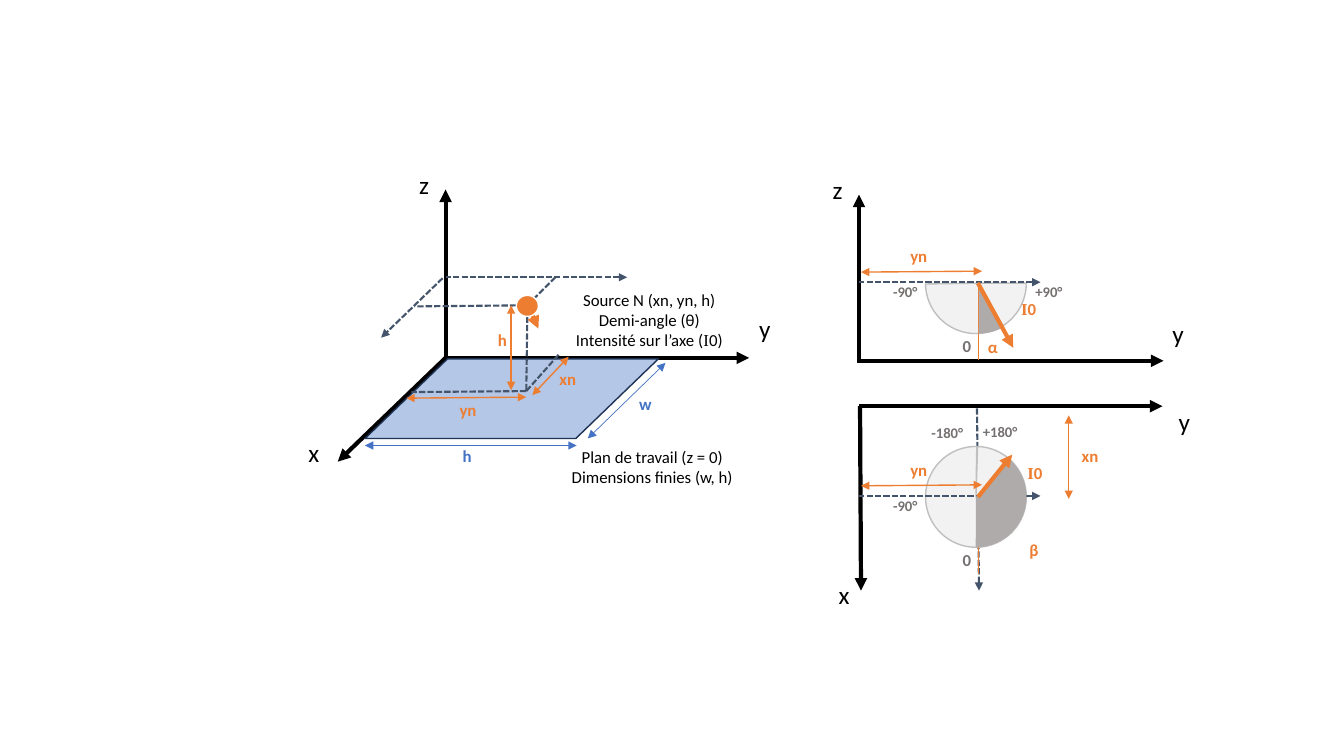
from dataclasses import dataclass

from pptx import Presentation
from pptx.dml.color import RGBColor
from pptx.enum.dml import MSO_LINE
from pptx.enum.shapes import MSO_CONNECTOR, MSO_SHAPE
from pptx.enum.text import MSO_AUTO_SIZE, PP_ALIGN
from pptx.oxml.ns import qn
from pptx.util import Inches, Pt
from lxml.etree import SubElement


@dataclass(frozen=True)
class Theme:
    black: str = "000000"
    white: str = "FFFFFF"
    slate: str = "44546A"
    orange: str = "ED7D31"
    blue: str = "4472C4"
    plane: str = "B4C7E7"
    navy: str = "1E3256"
    pale: str = "F2F2F2"
    rim: str = "BFBFBF"
    dark: str = "AFABAB"
    gray: str = "767171"
    font: str = "Calibri"
    serif: str = "Times New Roman"
    big: float = 18
    mid: float = 12
    small: float = 10.5


T = Theme()


# Basic elements
def line(slide, start, end, color, width, head=False, tail=False, dash=False):
    link = slide.shapes.add_connector(
        MSO_CONNECTOR.STRAIGHT, *map(Inches, (*start, *end)))
    link.line.color.rgb = RGBColor.from_string(color)
    link.line.width = Pt(width)
    if dash:
        link.line.dash_style = MSO_LINE.SQUARE_DOT
    props = link._element.spPr
    stroke = props.find(qn("a:ln"))
    for tag, shown in (("a:headEnd", head), ("a:tailEnd", tail)):
        if shown:
            SubElement(stroke, qn(tag)).set("type", "triangle")
    SubElement(props, qn("a:effectLst"))


def shape(slide, kind, box, fill, edge=None, adjust=()):
    item = slide.shapes.add_shape(kind, *map(Inches, box))
    item.shadow.inherit = False
    for i, value in enumerate(adjust):
        item.adjustments[i] = value
    item.fill.solid()
    item.fill.fore_color.rgb = RGBColor.from_string(fill)
    if edge:
        item.line.color.rgb = RGBColor.from_string(edge)
        item.line.width = Pt(1)
    else:
        item.line.fill.background()


def text(slide, words, box, color=T.black, size=T.mid, bold=False,
         wrap=False, align=None):
    frame = slide.shapes.add_textbox(*map(Inches, box)).text_frame
    frame.word_wrap = wrap
    frame.auto_size = MSO_AUTO_SIZE.SHAPE_TO_FIT_TEXT
    frame.text = words
    for para in frame.paragraphs:
        para.alignment = align
        # The I of the symbol I0 is set in a serif face
        front, mark, rest = para.text.partition("I0")
        if mark:
            para.text = front
            for part in ("I", "0" + rest):
                para.add_run().text = part
        for run in para.runs:
            run.font.name = T.serif if run.text == "I" else T.font
            run.font.size = Pt(size)
            run.font.bold = bold
            run.font.color.rgb = RGBColor.from_string(color)


# Elements of the diagram
def axis(slide, start, end):
    line(slide, start, end, T.black, 3, tail=True)


def guide(slide, start, end, head=False, tail=False):
    line(slide, start, end, T.slate, 1.5, head, tail, dash=True)


def span(slide, start, end, color=T.orange, width=1):
    line(slide, start, end, color, width, head=True, tail=True)


def beam(slide, start, end):
    line(slide, start, end, T.orange, 3, tail=True)


def pie(slide, left, top, start, end, fill, edge=None):
    # Angles in degrees, clockwise from the right
    shape(slide, MSO_SHAPE.PIE, (left, top, 1, 1), fill, edge,
          (start * 0.6, end * 0.6))


def name(slide, words, left, top, width=0.32):
    text(slide, words, (left, top, width, 0.4), size=T.big)


def mark(slide, words, left, top, width=0.37, color=T.orange, wrap=False):
    text(slide, words, (left, top, width, 0.3), color, bold=True, wrap=wrap)


def angle(slide, words, left, top, width=0.49):
    text(slide, words, (left, top, width, 0.28), T.gray, T.small,
         bold=True, wrap=True)


def note(slide, words, top, height):
    text(slide, words, (5.35 if height > 0.6 else 5.38, top, 2.18, height),
         wrap=True, align=PP_ALIGN.CENTER)


def space(slide):
    # Axes and work plane
    for end in ((7.43, 3.55), (4.42, 1.88), (3.35, 4.58)):
        axis(slide, (4.42, 3.55), end)
    shape(slide, MSO_SHAPE.PARALLELOGRAM, (3.62, 3.56, 2.91, 0.79),
          T.plane, T.navy, (1.036,))
    name(slide, "x", 2.96, 4.29, 0.31)
    name(slide, "y", 7.43, 3.06)
    name(slide, "z", 4.06, 1.63, 0.3)
    # Dashed guides at source height, then on the plane
    guide(slide, (5.51, 2.75), (5.3, 2.96))
    guide(slide, (5.12, 3.03), (4.11, 3.04))
    guide(slide, (6.22, 2.75), (4.42, 2.75), head=True)
    guide(slide, (4.39, 2.76), (3.78, 3.35), tail=True)
    for start, end in (((5.22, 3.88), (4.08, 3.89)),
                       ((5.54, 3.52), (5.22, 3.88)),
                       ((5.23, 3.14), (5.22, 3.88))):
        guide(slide, start, end)
    # Light source
    beam(slide, (5.22, 2.99), (5.34, 3.26))
    shape(slide, MSO_SHAPE.OVAL, (5.12, 2.93, 0.22, 0.21), T.orange, T.white)
    note(slide, "Source N (xn, yn, h)\nDemi-angle (θ)\n"
                "Intensité sur l’axe (I0)", 2.82, 0.71)
    note(slide, "Plan de travail (z = 0)\nDimensions finies (w, h)",
         4.38, 0.5)
    # Dimensions
    span(slide, (3.62, 4.42), (5.72, 4.42), T.blue, 0.5)
    span(slide, (5.83, 4.35), (6.6, 3.6), T.blue, 0.5)
    span(slide, (5.07, 3.87), (5.07, 3.03))
    span(slide, (5.22, 3.94), (4.03, 3.95))
    span(slide, (5.64, 3.54), (5.28, 3.92))
    mark(slide, "h", 4.84, 3.22, 0.29)
    mark(slide, "yn", 4.46, 3.92)
    mark(slide, "xn", 5.45, 3.61)
    mark(slide, "h", 4.49, 4.37, 0.29, T.blue)
    mark(slide, "w", 6.24, 3.86, 0.33, T.blue)


def view(slide, level, sector, tip):
    # Parts shared by both flat views, placed from the source level
    guide(slide, (10.32, level), (8.52, level), head=True)
    span(slide, (9.74, level - 0.11), (8.54, level - 0.1))
    line(slide, (9.7, level), (9.7, level + 0.77), T.orange, 0.5)
    pie(slide, *sector, 90.25, T.dark)
    beam(slide, (9.7, level + 0.01), tip)
    mark(slide, "yn", 8.93, level - 0.41)
    mark(slide, "0", 9.45, level + 0.48, 0.41, T.gray, wrap=True)
    angle(slide, "-90°", 8.76, level - 0.04)


def side(slide):
    pie(slide, 9.18, 2.31, 359.98, 179.06, T.pale, T.rim)
    axis(slide, (8.53, 3.58), (11.54, 3.58))
    axis(slide, (8.52, 3.6), (8.52, 1.93))
    view(slide, 2.8, (9.21, 2.31, 60), (10.05, 3.45))
    name(slide, "y", 11.53, 3.11)
    name(slide, "z", 8.16, 1.68, 0.3)
    mark(slide, "I0", 10.03, 2.91, 0.35)
    mark(slide, "α", 9.7, 3.29, 0.3)
    angle(slide, "+90°", 10.17, 2.76)


def plan(slide):
    guide(slide, (9.71, 5.86), (9.69, 4.04), head=True)
    pie(slide, 9.18, 4.43, 271.9, 270.95, T.pale, T.rim)
    axis(slide, (8.52, 4.03), (11.53, 4.03))
    axis(slide, (8.53, 4.03), (8.54, 5.86))
    view(slide, 4.92, (9.18, 4.43, 308.8), (10.04, 4.51))
    span(slide, (10.6, 4.12), (10.6, 4.95))
    name(slide, "y", 11.59, 3.98)
    name(slide, "x", 8.22, 5.7, 0.31)
    mark(slide, "I0", 10.09, 4.54, 0.35)
    mark(slide, "β", 10.11, 5.31, 0.51, wrap=True)
    mark(slide, "xn", 10.63, 4.37)
    angle(slide, "+180°", 9.65, 4.15, 0.6)
    angle(slide, "-180°", 9.14, 4.16, 0.6)


def main():
    deck = Presentation()
    deck.slide_width, deck.slide_height = Inches(13.33), Inches(7.5)
    slide = deck.slides.add_slide(deck.slide_layouts[6])
    space(slide)
    side(slide)
    plan(slide)
    deck.save("out.pptx")


if __name__ == "__main__":
    main()
